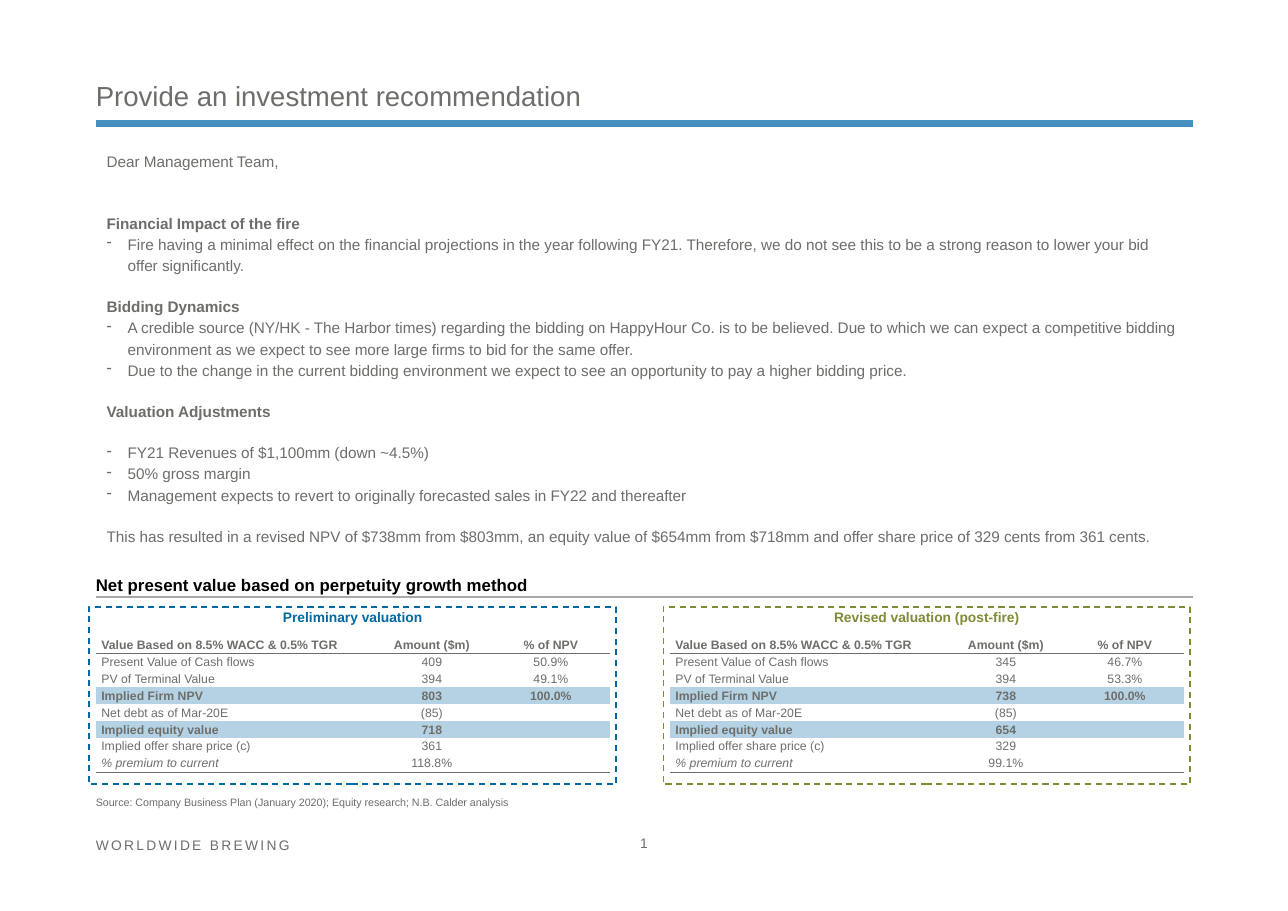
from lxml import etree
from pptx import Presentation
from pptx.dml.color import RGBColor
from pptx.enum import dml, shapes, text
from pptx.oxml import ns
from pptx.util import Inches, Pt

GREY = RGBColor(0x6D, 0x6E, 0x6A)
BLACK = RGBColor(0, 0, 0)
SKY = RGBColor(0x47, 0x8F, 0xBF)
RULE_GREY = RGBColor(0xA8, 0xA8, 0xA5)
BLUE = RGBColor(0x00, 0x69, 0xA3)
OLIVE = RGBColor(0x81, 0x8A, 0x37)
BAND = RGBColor(0xB5, 0xD2, 0xE5)

LEFT, WIDTH = 0.87, 9.96
TOP, MIDDLE, BOTTOM = (text.MSO_ANCHOR.TOP, text.MSO_ANCHOR.MIDDLE,
                       text.MSO_ANCHOR.BOTTOM)
CENTER = text.PP_ALIGN.CENTER
NO_GRID_STYLE = "{2D5ABB26-0587-4C30-8999-92F81FD0307C}"
LINE_SPACING = 1.15
BLANK_LINE = 13.2

# Kind of paragraph, blank lines before it, wording
LETTER = [
    ("plain", 0, "Dear Management Team,"),
    ("heading", 2, "Financial Impact of the fire"),
    ("bullet", 0, "Fire having a minimal effect on the financial projections in the year "
     "following FY21. Therefore, we do not see this to be a strong reason to lower your bid "
     "offer significantly."),
    ("heading", 1, "Bidding Dynamics"),
    ("bullet", 0, "A credible source (NY/HK - The Harbor times) regarding the bidding on "
     "HappyHour Co. is to be believed. Due to which we can expect a competitive bidding "
     "environment as we expect to see more large firms to bid for the same offer."),
    ("bullet", 0, "Due to the change in the current bidding environment we expect to see an "
     "opportunity to pay a higher bidding price."),
    ("heading", 1, "Valuation Adjustments"),
    ("bullet", 1, "FY21 Revenues of $1,100mm (down ~4.5%)"),
    ("bullet", 0, "50% gross margin"),
    ("bullet", 0, "Management expects to revert to originally forecasted sales in FY22 "
     "and thereafter"),
    ("plain", 1, "This has resulted in a revised NPV of $738mm from $803mm, an equity value of "
     "$654mm from $718mm and offer share price of 329 cents from 361 cents."),
]

HEADER = ["Value Based on 8.5% WACC & 0.5% TGR", "Amount ($m)", "% of NPV"]
ROW_LABELS = ["Present Value of Cash flows", "PV of Terminal Value", "Implied Firm NPV",
              "Net debt as of Mar-20E", "Implied equity value",
              "Implied offer share price (c)", "% premium to current"]
TOTAL_ROWS = (3, 5)
PRELIMINARY = (["409", "394", "803", "(85)", "718", "361", "118.8%"],
               ["50.9%", "49.1%", "100.0%"])
REVISED = (["345", "394", "738", "(85)", "654", "329", "99.1%"],
           ["46.7%", "53.3%", "100.0%"])


def add_run(p, wording, size, color=GREY, bold=False, italic=False):
    r = p.add_run()
    r.text = wording
    f = r.font
    f.name, f.size, f.bold, f.italic = "Arial", Pt(size), bold, italic
    f.color.rgb = color
    return r


def set_frame(tf, anchor, insets=(0, 0, 0, 0), wrap=True):
    tf.word_wrap = wrap
    tf.vertical_anchor = anchor
    tf.margin_left, tf.margin_top, tf.margin_right, tf.margin_bottom = map(Inches, insets)


def add_label(s, box, wording, size, anchor=TOP, wrap=True, align=None,
              insets=(0, 0, 0, 0), **font):
    tf = s.shapes.add_textbox(*map(Inches, box)).text_frame
    set_frame(tf, anchor, insets, wrap)
    p = tf.paragraphs[0]
    p.alignment = align
    return add_run(p, wording, size, **font)


def add_rule(s, y, color, width):
    ln = s.shapes.add_connector(shapes.MSO_CONNECTOR.STRAIGHT, Inches(LEFT), Inches(y),
                                Inches(LEFT + WIDTH), Inches(y))
    ln.line.color.rgb = color
    ln.line.width = Pt(width)
    etree.SubElement(ln._element.spPr, ns.qn("a:effectLst"))


def add_letter(s):
    tf = s.shapes.add_textbox(Inches(LEFT), Inches(1.31), Inches(WIDTH), Inches(3.6)).text_frame
    set_frame(tf, TOP, (0.1, 0.05, 0.1, 0.05))
    for i, (kind, gap, wording) in enumerate(LETTER):
        p = tf.add_paragraph() if i else tf.paragraphs[0]
        p.line_spacing = LINE_SPACING
        p.space_before = Pt(gap * BLANK_LINE)
        if kind == "bullet":
            pPr = p._p.get_or_add_pPr()
            pPr.set("marL", str(Inches(0.19)))
            pPr.set("indent", str(-Inches(0.19)))
            etree.SubElement(pPr, ns.qn("a:buChar"), char="-")
        add_run(p, wording, 10, bold=kind == "heading")


def add_bottom_border(cell):
    ln = etree.Element(ns.qn("a:lnB"), w=str(Pt(0.5)))
    fill = etree.SubElement(ln, ns.qn("a:solidFill"))
    etree.SubElement(fill, ns.qn("a:srgbClr"), val=str(GREY))
    cell._tc.get_or_add_tcPr().insert(0, ln)


def fill_cell(cell, row, col, wording, last_row):
    total = row in TOTAL_ROWS
    set_frame(cell.text_frame, MIDDLE if row else BOTTOM)
    side, edge = (0.05, 0.01) if col == 0 or row == 0 else (0, 0)
    cell.margin_left = cell.margin_right = Inches(side)
    cell.margin_top = cell.margin_bottom = Inches(edge)
    cell.vertical_anchor = MIDDLE if row else BOTTOM
    p = cell.text_frame.paragraphs[0]
    if col:
        p.alignment = CENTER
    if wording:
        add_run(p, wording, 8, bold=row == 0 or total, italic=row == last_row and col == 0)
    else:
        etree.SubElement(p._p, ns.qn("a:endParaRPr"), sz="800")
    if total:
        cell.fill.solid()
        cell.fill.fore_color.rgb = BAND
    else:
        cell.fill.background()
    if row in (0, last_row):
        add_bottom_border(cell)


def add_valuation(s, x, title, color, values):
    """Dashed, titled frame with its valuation table inside."""
    sp = s.shapes.add_shape(shapes.MSO_SHAPE.RECTANGLE, Inches(x), Inches(5.51),
                            Inches(4.78), Inches(1.61))
    sp.shadow.inherit = False
    sp.fill.background()
    sp.line.color.rgb = color
    sp.line.width = Pt(1)
    sp.line.dash_style = dml.MSO_LINE.DASH
    set_frame(sp.text_frame, TOP, (0.1, 0.02, 0.1, 0.05))
    p = sp.text_frame.paragraphs[0]
    p.alignment = CENTER
    add_run(p, title, 9, color, bold=True)

    amounts, shares = values
    shares = shares + [""] * (len(amounts) - len(shares))
    rows = [HEADER, *zip(ROW_LABELS, amounts, shares)]
    frame = s.shapes.add_table(len(rows), 3, Inches(x + 0.06), Inches(5.78),
                               Inches(4.68), Inches(1.23))
    frame._element.find(".//" + ns.qn("a:tableStyleId")).text = NO_GRID_STYLE
    table = frame.table
    for column, width in zip(table.columns, (2.51, 1.08, 1.08)):
        column.width = Inches(width)
    for i, row in enumerate(rows):
        table.rows[i].height = Inches(1.23 / len(rows))
        for j, wording in enumerate(row):
            fill_cell(table.cell(i, j), i, j, wording, len(rows) - 1)


def main():
    prs = Presentation()
    prs.slide_width, prs.slide_height = Inches(11.69), Inches(8.27)
    s = prs.slides.add_slide(prs.slide_layouts[6])

    add_rule(s, 1.12, SKY, 4.5)
    add_label(s, (LEFT, 0.27, WIDTH, 0.75), "Provide an investment recommendation", 18, BOTTOM)
    add_letter(s)
    add_label(s, (LEFT, 5.16, WIDTH, 0.27), "Net present value based on perpetuity growth method",
              11, BOTTOM, insets=(0, 0.05, 0.05, 0.03), color=BLACK, bold=True)
    add_rule(s, 5.42, RULE_GREY, 0.75)
    add_valuation(s, 0.81, "Preliminary valuation", BLUE, PRELIMINARY)
    add_valuation(s, 6.02, "Revised valuation (post-fire)", OLIVE, REVISED)
    add_label(s, (LEFT, 7.22, 3.83, 0.12), "Source: Company Business Plan (January 2020); "
              "Equity research; N.B. Calder analysis", 7, wrap=False)
    footer = add_label(s, (LEFT, 7.62, 2, 0.13), "WORLDWIDE BREWING", 9, BOTTOM, wrap=False)
    footer._r.get_or_add_rPr().set("spc", "150")
    add_label(s, (5.72, 7.55, 0.25, 0.2), "1", 9, MIDDLE, wrap=False, align=CENTER)
    prs.save("out.pptx")


if __name__ == "__main__":
    main()
